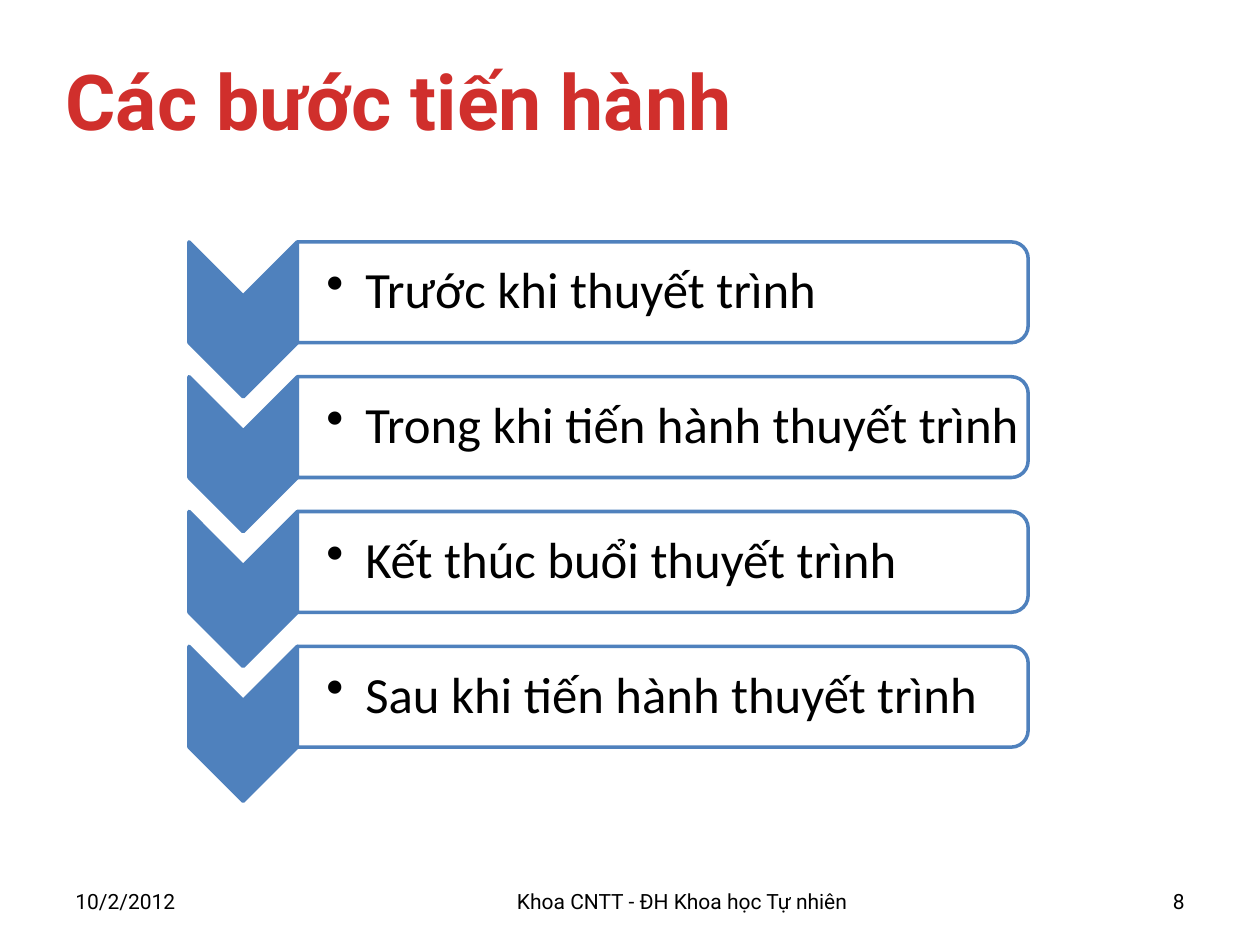
from lxml import etree
from pptx import Presentation
from pptx.dml.color import RGBColor
from pptx.enum import shapes, text
from pptx.oxml import ns
from pptx.util import Inches, Pt

TITLE = "Các bước tiến hành"
STEPS = [
    "Trước khi thuyết trình",
    "Trong khi tiến hành thuyết trình",
    "Kết thúc buổi thuyết trình",
    "Sau khi tiến hành thuyết trình",
]
FOOTERS = [
    ("10/2/2012", 0.5, 1.08, text.PP_ALIGN.LEFT),
    ("Khoa CNTT - ĐH Khoa học Tự nhiên", 2.08, 6.67, text.PP_ALIGN.CENTER),
    ("8", 8.92, 0.58, text.PP_ALIGN.RIGHT),
]
COLORS = {"title": "D02F2C", "step": "4F81BD", "panel": "FFFFFF", "text": "000000"}

CHEVRON_LEFT, CHEVRON_WIDTH, CHEVRON_HEIGHT = 1.5, 0.86, 1.23
PANEL_LEFT, PANEL_WIDTH, PANEL_HEIGHT = 2.36, 5.8, 0.8
FIRST_TOP, STEP_PITCH = 1.92, 1.07


def color(name):
    return RGBColor.from_string(COLORS[name])


def place(box, left, top, width, height):
    box.left, box.top = Inches(left), Inches(top)
    box.width, box.height = Inches(width), Inches(height)


def write(box, content, size, font="Roboto", ink="text", bold=False,
          align=text.PP_ALIGN.LEFT):
    frame = box.text_frame
    frame.word_wrap = True
    frame.auto_size = text.MSO_AUTO_SIZE.NONE
    frame.vertical_anchor = text.MSO_ANCHOR.MIDDLE
    para = frame.paragraphs[0]
    para.alignment = align
    span = para.add_run()
    span.text = content
    span.font.size, span.font.name, span.font.bold = Pt(size), font, bold
    span.font.color.rgb = color(ink)
    return para


def add_turned(page, kind, left, top, width, height, fill):
    shift = (width - height) / 2
    shape = page.shapes.add_shape(
        kind, Inches(left + shift), Inches(top - shift), Inches(height), Inches(width))
    shape.rotation = 90
    shape.shadow.inherit = False
    shape.fill.solid()
    shape.fill.fore_color.rgb = color(fill)
    shape.line.color.rgb = color("step")
    shape.line.width = Pt(2)
    return shape


def add_bullet(para, indent):
    para.level = 1
    para.line_spacing = 0.9
    para.space_after = Pt(4.35)
    properties = para._p.get_or_add_pPr()
    properties.set("marL", str(Inches(indent)))
    properties.set("indent", str(-Inches(indent)))
    etree.SubElement(properties, ns.qn("a:buChar")).set("char", "•")


def add_step(page, content, top):
    add_turned(page, shapes.MSO_SHAPE.CHEVRON, CHEVRON_LEFT, top,
               CHEVRON_WIDTH, CHEVRON_HEIGHT, "step")
    panel = add_turned(page, shapes.MSO_SHAPE.ROUND_2_SAME_RECTANGLE, PANEL_LEFT, top,
                       PANEL_WIDTH, PANEL_HEIGHT, "panel")
    tint = panel._element.spPr.find(ns.qn("a:solidFill"))[0]
    etree.SubElement(tint, ns.qn("a:alpha")).set("val", "90000")

    box = page.shapes.add_textbox(0, 0, 0, 0)
    place(box, PANEL_LEFT, top + 0.04, PANEL_WIDTH - 0.04, PANEL_HEIGHT - 0.08)
    frame = box.text_frame
    frame.margin_left = Inches(0.23)
    frame.margin_top = frame.margin_right = frame.margin_bottom = Inches(0.02)
    add_bullet(write(box, content, 29, font="Calibri"), 0.31)


def main():
    deck = Presentation()
    deck.slide_width, deck.slide_height = Inches(10), Inches(7.5)
    page = deck.slides.add_slide(deck.slide_layouts[5])

    title = page.shapes.title
    place(title, 0.42, 0.17, 9.42, 1.25)
    write(title, TITLE, 44, ink="title", bold=True)

    for content, left, width, align in FOOTERS:
        box = page.shapes.add_textbox(0, 0, 0, 0)
        place(box, left, 6.95, width, 0.4)
        write(box, content, 12, align=align)

    for index, content in enumerate(STEPS):
        add_step(page, content, FIRST_TOP + index * STEP_PITCH)

    deck.save("out.pptx")


if __name__ == "__main__":
    main()
